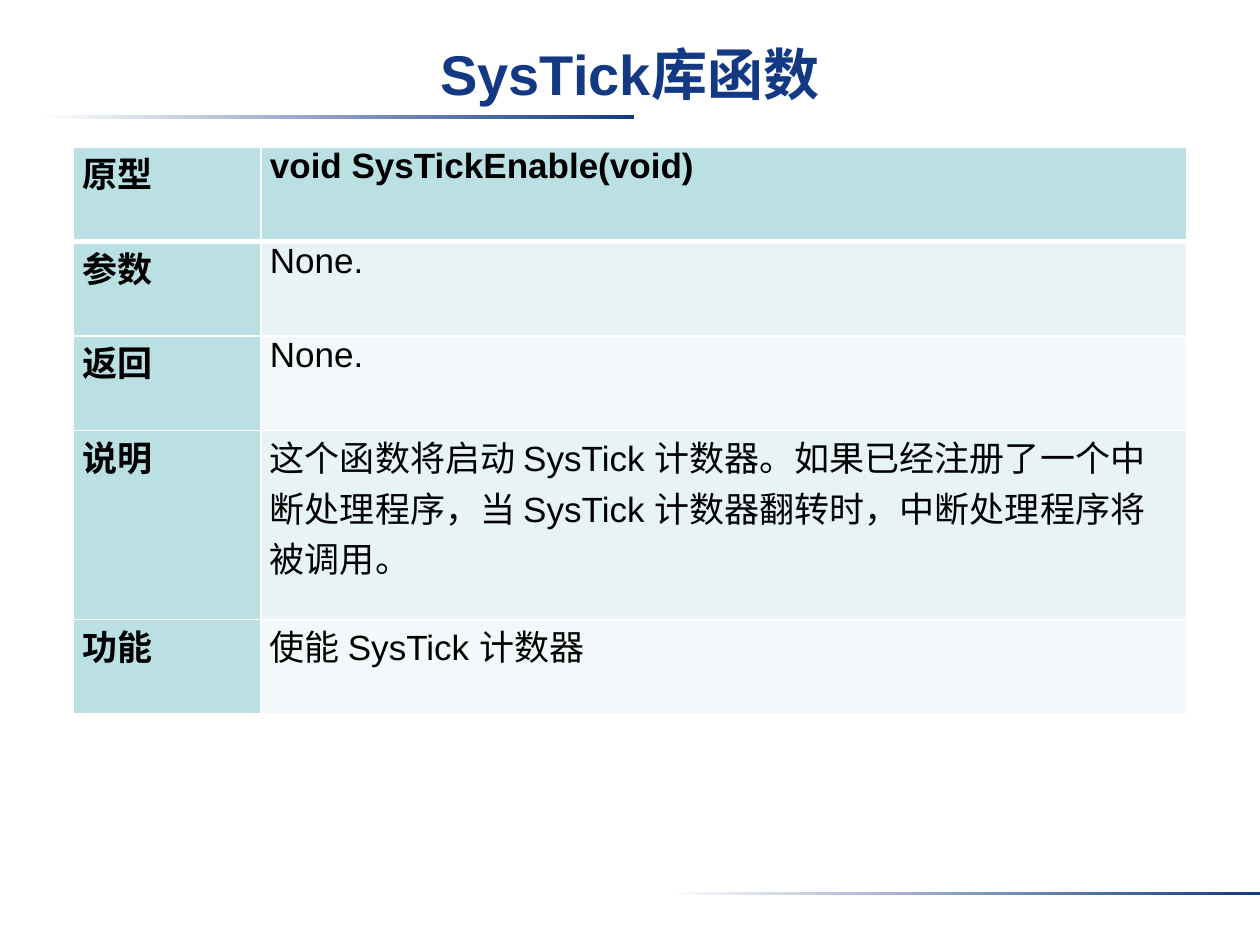
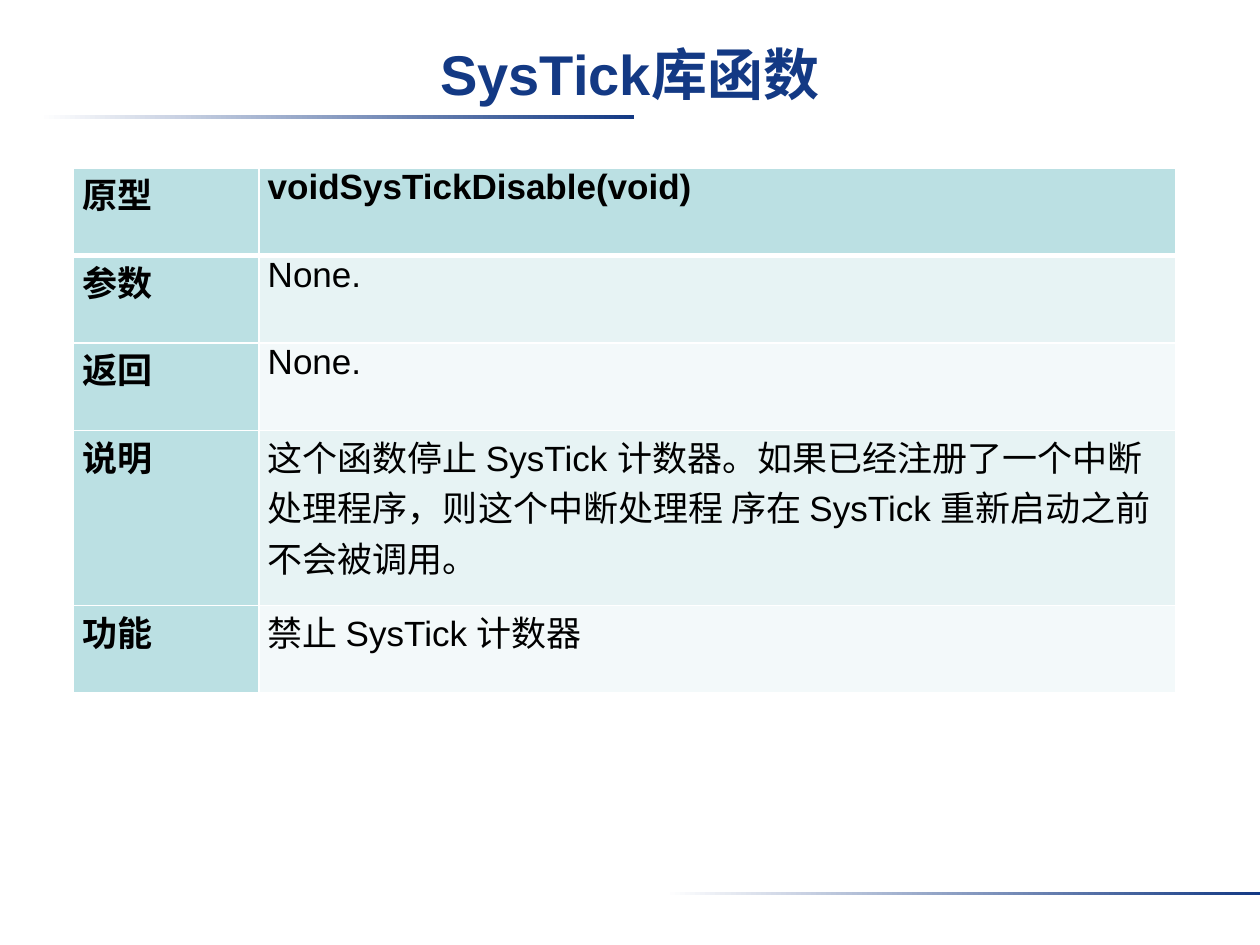
from dataclasses import dataclass

from lxml.etree import SubElement
from pptx import Presentation
from pptx.dml.color import RGBColor
from pptx.enum.shapes import MSO_SHAPE
from pptx.enum.text import MSO_ANCHOR, MSO_AUTO_SIZE, PP_ALIGN
from pptx.oxml.ns import qn
from pptx.util import Pt

NAVY = RGBColor(0x13, 0x39, 0x84)
WHITE = RGBColor(0xFF, 0xFF, 0xFF)
BLACK = RGBColor(0x00, 0x00, 0x00)
TEAL = RGBColor(0xBB, 0xE0, 0xE3)
TEAL_LIGHT = RGBColor(0xE7, 0xF3, 0xF4)
TEAL_PALE = RGBColor(0xF3, 0xF9, 0xFA)

FONT = "Arial"
TITLE = "SysTick库函数"
LABELS = ("原型", "参数", "返回", "说明", "功能")
ROW_UNITS = (1, 1, 1, 2, 1)
LEFT_ALIGNED_ROWS = (1, 3)
TABLE_LEFT = 42


@dataclass(frozen=True)
class Band:
    left: float
    top: float


@dataclass(frozen=True)
class FunctionTable:
    top: float
    col_widths: tuple[float, float]
    row_unit: float
    values: tuple[str, ...]


BANDS = (Band(22.5, 65.5), Band(380, 509.5))

TABLES = (
    FunctionTable(84, (107.25, 528.75), 54, (
        "void SysTickEnable(void)",
        "None.",
        "None.",
        "这个函数将启动 SysTick 计数器。如果已经注册了一个中断处理程序，"
        "当 SysTick 计数器翻转时，中断处理程序将被调用。",
        "使能 SysTick 计数器",
    )),
    FunctionTable(96, (106, 524), 50, (
        "voidSysTickDisable(void)",
        "None.",
        "None.",
        "这个函数停止 SysTick 计数器。如果已经注册了一个中断处理程序，"
        "则这个中断处理程 序在 SysTick 重新启动之前不会被调用。",
        "禁止 SysTick 计数器",
    )),
)


def format_text(p, size: float, color: RGBColor, bold: bool, align: PP_ALIGN) -> None:
    p.alignment = align
    p.font.name = FONT
    p.font.size = Pt(size)
    p.font.bold = bold
    p.font.color.rgb = color


def add_band(slide, band: Band) -> None:
    sp = slide.shapes.add_shape(
        MSO_SHAPE.RECTANGLE, Pt(band.left), Pt(band.top), Pt(340), Pt(2.25))
    sp.shadow.inherit = False
    sp.line.fill.background()
    sp.fill.gradient()
    sp.fill.gradient_angle = 0
    for stop, position, color in zip(sp.fill.gradient_stops, (0, 1), (WHITE, NAVY)):
        stop.position = position
        stop.color.rgb = color


def set_title(slide) -> None:
    sp = slide.shapes.title
    sp.left, sp.top, sp.width, sp.height = Pt(0), Pt(14.5), Pt(720), Pt(54)
    tf = sp.text_frame
    tf.text = TITLE
    tf.auto_size = MSO_AUTO_SIZE.NONE
    tf.vertical_anchor = MSO_ANCHOR.MIDDLE
    tf.margin_top, tf.margin_bottom = Pt(4.3), Pt(3.6)
    format_text(tf.paragraphs[0], 32, NAVY, True, PP_ALIGN.CENTER)


def add_borders(cell, row: int) -> None:
    tcPr = cell._tc.get_or_add_tcPr()
    widths = {"lnL": 1, "lnR": 1, "lnT": 3 if row == 1 else 1, "lnB": 3 if row == 0 else 1}
    for tag, width in widths.items():
        ln = SubElement(tcPr, qn(f"a:{tag}"), w=str(Pt(width)))
        SubElement(SubElement(ln, qn("a:solidFill")), qn("a:srgbClr"), val=str(WHITE))


def fill_cell(cell, row: int, text: str, is_header: bool) -> None:
    cell.margin_left = cell.margin_right = Pt(5)
    cell.margin_top = cell.margin_bottom = Pt(0)
    add_borders(cell, row)
    cell.fill.solid()
    cell.fill.fore_color.rgb = TEAL if is_header else TEAL_LIGHT if row % 2 else TEAL_PALE
    cell.text = text
    left_aligned = not is_header and row in LEFT_ALIGNED_ROWS
    align = PP_ALIGN.LEFT if left_aligned else PP_ALIGN.JUSTIFY
    format_text(cell.text_frame.paragraphs[0], 20, BLACK, is_header, align)


def add_function_table(slide, spec: FunctionTable) -> None:
    table = slide.shapes.add_table(
        len(LABELS), 2, Pt(TABLE_LEFT), Pt(spec.top),
        Pt(sum(spec.col_widths)), Pt(spec.row_unit * sum(ROW_UNITS))).table
    table.first_row = table.horz_banding = False
    for col, width in zip(table.columns, spec.col_widths):
        col.width = Pt(width)
    for i, (label, value, units) in enumerate(zip(LABELS, spec.values, ROW_UNITS)):
        table.rows[i].height = Pt(spec.row_unit * units)
        fill_cell(table.cell(i, 0), i, label, True)
        fill_cell(table.cell(i, 1), i, value, i == 0)


def main() -> None:
    prs = Presentation()
    prs.slide_width, prs.slide_height = Pt(720), Pt(540)
    for spec in TABLES:
        slide = prs.slides.add_slide(prs.slide_layouts[5])
        for band in BANDS:
            add_band(slide, band)
        set_title(slide)
        add_function_table(slide, spec)
    prs.save("out.pptx")


if __name__ == "__main__":
    main()
